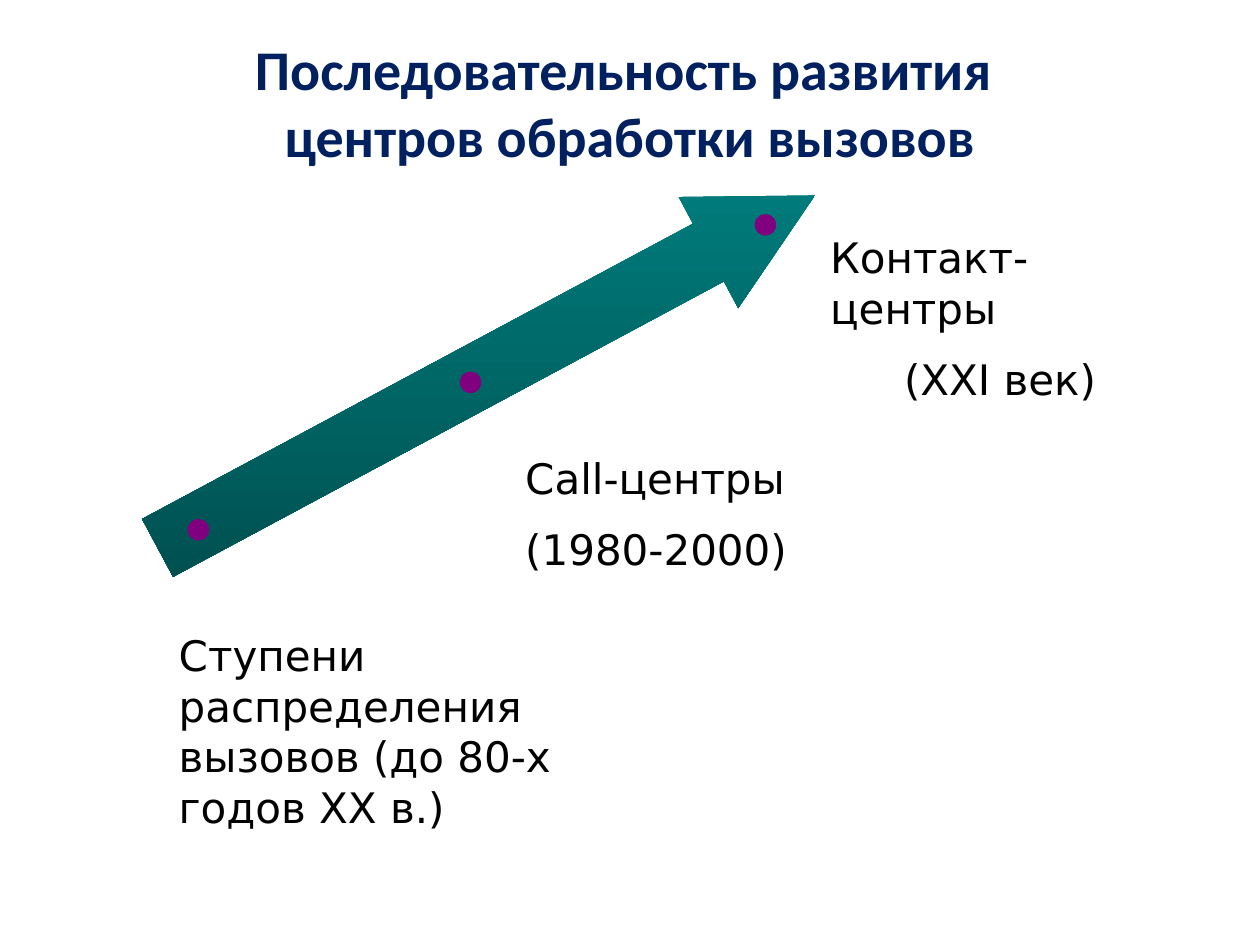
from pptx import Presentation
from pptx.dml.color import RGBColor
from pptx.enum.shapes import MSO_SHAPE as SHAPE
from pptx.enum.text import MSO_ANCHOR as ANCHOR, MSO_AUTO_SIZE as AUTO, PP_ALIGN as ALIGN
from pptx.oxml.ns import qn
from pptx.util import Inches, Pt

NAVY = RGBColor(0x00, 0x20, 0x60)
BLACK = RGBColor(0x00, 0x00, 0x00)
TEAL = RGBColor(0x00, 0x80, 0x80)
DARK_TEAL = RGBColor(0x00, 0x4E, 0x4E)
PURPLE = RGBColor(0x80, 0x00, 0x80)

COLS, ROWS = 100, 75


class SlideBuilder:
    """Places styled elements on a grid of COLS by ROWS."""

    title_font, label_font = "Calibri", "DejaVu Sans"
    title_size, label_size = Pt(32), Pt(24)
    label_gap = Pt(12)
    dot_size = 1.7

    def __init__(self, prs):
        self.col = prs.slide_width / COLS
        self.row = prs.slide_height / ROWS
        self.slide = prs.slides.add_slide(prs.slide_layouts[5])

    def box(self, x, y, w, h):
        return (round(x * self.col), round(y * self.row),
                round(w * self.col), round(h * self.row))

    def format(self, p, name, size, color, align, bold=False):
        p.alignment = align
        p.font.name, p.font.size, p.font.bold = name, size, bold
        p.font.color.rgb = color

    def title(self, text, *place):
        sp = self.slide.shapes.title
        sp.left, sp.top, sp.width, sp.height = self.box(*place)
        tf = sp.text_frame
        tf.text = text
        tf.vertical_anchor = ANCHOR.MIDDLE
        self.format(tf.paragraphs[0], self.title_font, self.title_size,
                    NAVY, ALIGN.CENTER, bold=True)

    def label(self, lines, *place, last_align=ALIGN.LEFT):
        tf = self.slide.shapes.add_textbox(*self.box(*place)).text_frame
        tf.word_wrap = True
        tf.auto_size = AUTO.SHAPE_TO_FIT_TEXT
        tf.text = "\n".join(lines)
        for i, p in enumerate(tf.paragraphs):
            align = last_align if i == len(lines) - 1 else ALIGN.LEFT
            self.format(p, self.label_font, self.label_size, BLACK, align)
            if i:
                p.space_before = self.label_gap

    def shape(self, kind, *place):
        sp = self.slide.shapes.add_shape(kind, *self.box(*place))
        sp.shadow.inherit = False
        sp.line.fill.background()
        return sp

    def arrow(self, angle, shaft, head, *place):
        sp = self.shape(SHAPE.UP_ARROW, *place)
        sp.rotation = angle
        sp.adjustments[0], sp.adjustments[1] = shaft, head
        sp.fill.gradient()
        sp.fill.gradient_angle = 270
        for stop, color in zip(sp.fill.gradient_stops, (TEAL, DARK_TEAL)):
            stop.color.rgb = color
        # Keep the shading vertical while the arrow is turned
        sp._element.spPr.find(qn("a:gradFill")).set("rotWithShape", "0")

    def dot(self, x, y):
        sp = self.shape(SHAPE.OVAL, x, y, self.dot_size, self.dot_size)
        sp.fill.solid()
        sp.fill.fore_color.rgb = PURPLE


def main():
    prs = Presentation()
    prs.slide_width, prs.slide_height = Inches(10), Inches(7.5)
    s = SlideBuilder(prs)

    # Title
    s.title("Последовательность развития \vцентров обработки вызовов",
            0, 2.2, 100, 11.7)

    # Stage labels
    s.label(["Ступени распределения вызовов (до 80-х годов ХХ в.)"],
            13.2, 49.5, 34.2, 17)
    s.label(["Call-центры", "(1980-2000)"], 40.7, 35.4, 35.8, 11)
    s.label(["Контакт-центры", "(XXI век) "], 64.9, 17.9, 30, 11,
            last_align=ALIGN.CENTER)

    # Rising arrow with a dot for each stage
    s.arrow(61.8, 0.52, 0.96, 33.6, -0.1, 10, 59.2)
    for x, y in ((14.9, 41.2), (36.5, 29.5), (59.9, 17)):
        s.dot(x, y)

    prs.save("out.pptx")


if __name__ == "__main__":
    main()
